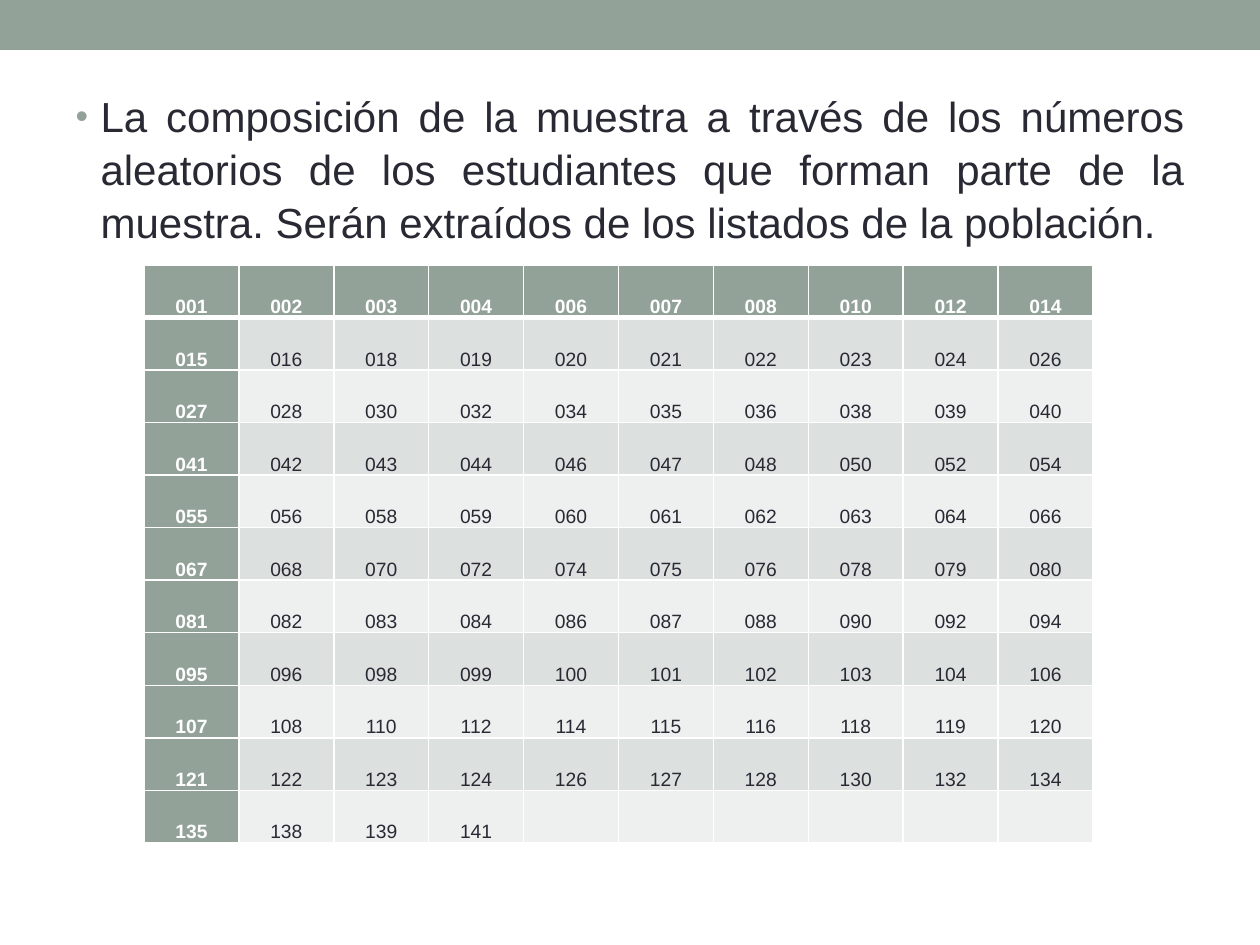
from lxml import etree
from pptx import Presentation, util as u
from pptx.dml.color import RGBColor
from pptx.enum import shapes, text
from pptx.oxml import ns

SCALE = 914400 / 126
SAGE, INK, WHITE = "93A299", "292934", "FFFFFF"
BANDS = ("EEF0EF", "DCE0DE")
STATEMENT = (
    "La composición de la muestra a través de los números aleatorios de los "
    "estudiantes que forman parte de la muestra. Serán extraídos de los "
    "listados de la población."
)
SAMPLE = """
001 002 003 004 006 007 008 010 012 014
015 016 018 019 020 021 022 023 024 026
027 028 030 032 034 035 036 038 039 040
041 042 043 044 046 047 048 050 052 054
055 056 058 059 060 061 062 063 064 066
067 068 070 072 074 075 076 078 079 080
081 082 083 084 086 087 088 090 092 094
095 096 098 099 100 101 102 103 104 106
107 108 110 112 114 115 116 118 119 120
121 122 123 124 126 127 128 130 132 134
135 138 139 141
"""


def px(length):
    return u.Emu(round(length * SCALE))


def rgb(value):
    return RGBColor.from_string(value)


def apply(target, **values):
    for name, value in values.items():
        setattr(target, name, value)


def paint(target, value):
    target.fill.solid()
    target.fill.fore_color.rgb = rgb(value)


def format_font(font, size, color, bold=False):
    apply(font, name="Arial", size=u.Pt(size), bold=bold)
    font.color.rgb = rgb(color)


def add_element(parent, tag, **attributes):
    return etree.SubElement(parent, ns.qn(tag), attributes)


def add_band(slide, left, top, width, height):
    band = slide.shapes.add_shape(
        shapes.MSO_SHAPE.RECTANGLE, px(left), px(top), px(width), px(height)
    )
    band.shadow.inherit = False
    paint(band, SAGE)
    band.line.fill.background()


def add_statement(slide, left, top, width, height):
    statement = slide.placeholders[1]
    apply(statement, left=px(left), top=px(top), width=px(width), height=px(height))
    frame = statement.text_frame
    apply(frame, word_wrap=True, auto_size=text.MSO_AUTO_SIZE.NONE)
    paragraph = frame.paragraphs[0]
    paragraph.text = STATEMENT
    apply(paragraph, alignment=text.PP_ALIGN.JUSTIFY, line_spacing=1.05)
    format_font(paragraph.runs[0].font, 24, INK)
    properties = paragraph.runs[0].font._element.getparent().getparent().get_or_add_pPr()
    properties.set("marL", str(px(25)))
    properties.set("indent", str(px(-25)))
    bullet_color = add_element(properties, "a:buClr")
    add_element(bullet_color, "a:srgbClr", val=SAGE)
    add_element(properties, "a:buSzPct", val="85000")
    add_element(properties, "a:buFont", typeface="Arial")
    add_element(properties, "a:buChar", char="•")


def add_borders(cell, **widths):
    properties = cell._tc.get_or_add_tcPr()
    for position, side in enumerate("LRTB"):
        border = etree.Element(ns.qn(f"a:ln{side}"), w=str(u.Pt(widths.get(side, 1))))
        solid = add_element(border, "a:solidFill")
        add_element(solid, "a:srgbClr", val=WHITE)
        properties.insert(position, border)


def format_cell(cell, number, row, column):
    is_heading = row == 0 or column == 0
    paint(cell, SAGE if is_heading else BANDS[row % 2])
    apply(
        cell,
        vertical_anchor=text.MSO_ANCHOR.BOTTOM,
        margin_left=px(6),
        margin_right=px(6),
        margin_top=0,
        margin_bottom=0,
    )
    add_borders(cell, T=3 if row == 1 else 1, B=3 if row == 0 else 1)
    paragraph = cell.text_frame.paragraphs[0]
    paragraph.text = number
    apply(paragraph, alignment=text.PP_ALIGN.CENTER, line_spacing=1.15)
    format_font(paragraph.font, 11, WHITE if is_heading else INK, is_heading)
    for run in paragraph.runs:
        format_font(run.font, 11, WHITE if is_heading else INK, is_heading)


def add_sample(slide, left, top, width, height):
    rows = [line.split() for line in SAMPLE.strip().splitlines()]
    column_count = len(rows[0])
    sample = slide.shapes.add_table(
        len(rows), column_count, px(left), px(top), px(width), px(height)
    ).table
    sample.first_col = True
    for row, numbers in enumerate(rows):
        for column in range(column_count):
            number = numbers[column] if column < len(numbers) else ""
            format_cell(sample.cell(row, column), number, row, column)


def main():
    deck = Presentation()
    apply(deck, slide_width=px(1260), slide_height=px(945))
    slide = deck.slides.add_slide(deck.slide_layouts[1])
    unused_title = slide.shapes.title._element
    unused_title.getparent().remove(unused_title)
    add_band(slide, 0, 0, 1260, 50)
    add_statement(slide, 63, 82, 1134, 152)
    add_sample(slide, 144, 265, 949, 578)
    deck.save("out.pptx")


if __name__ == "__main__":
    main()
